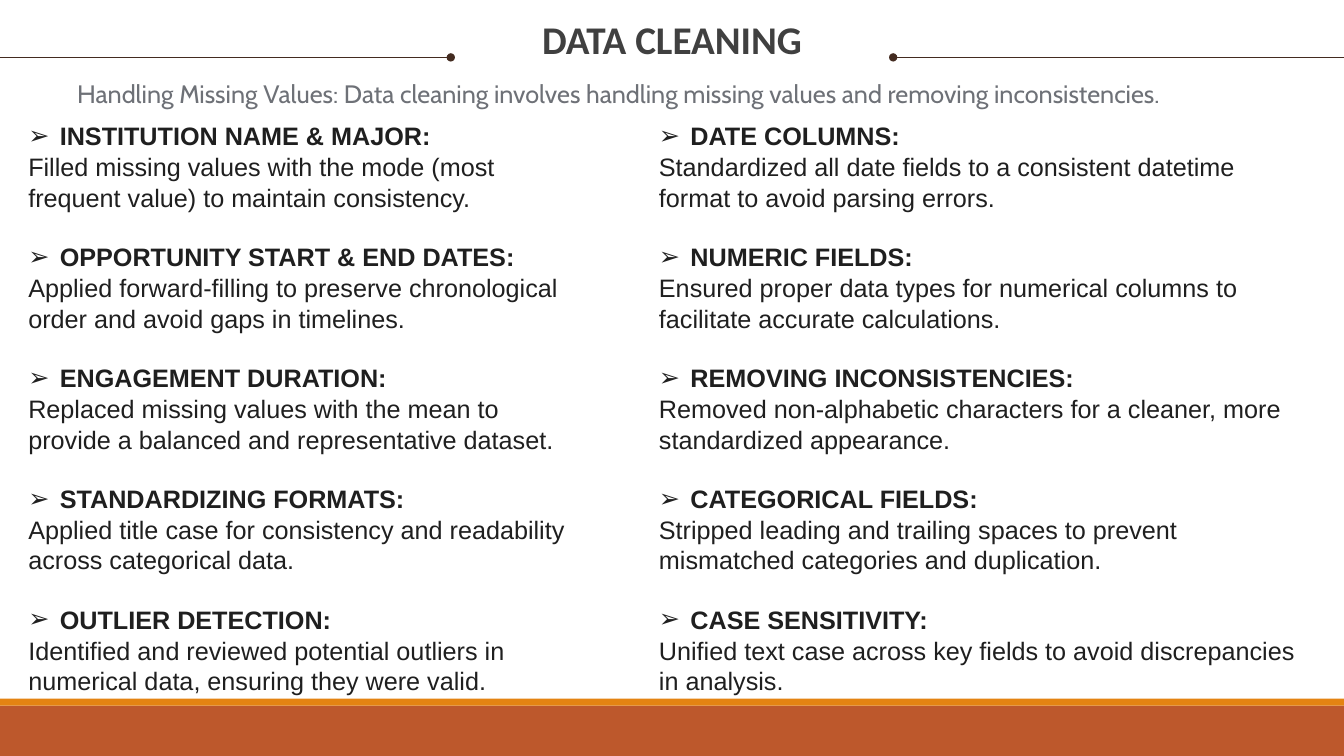
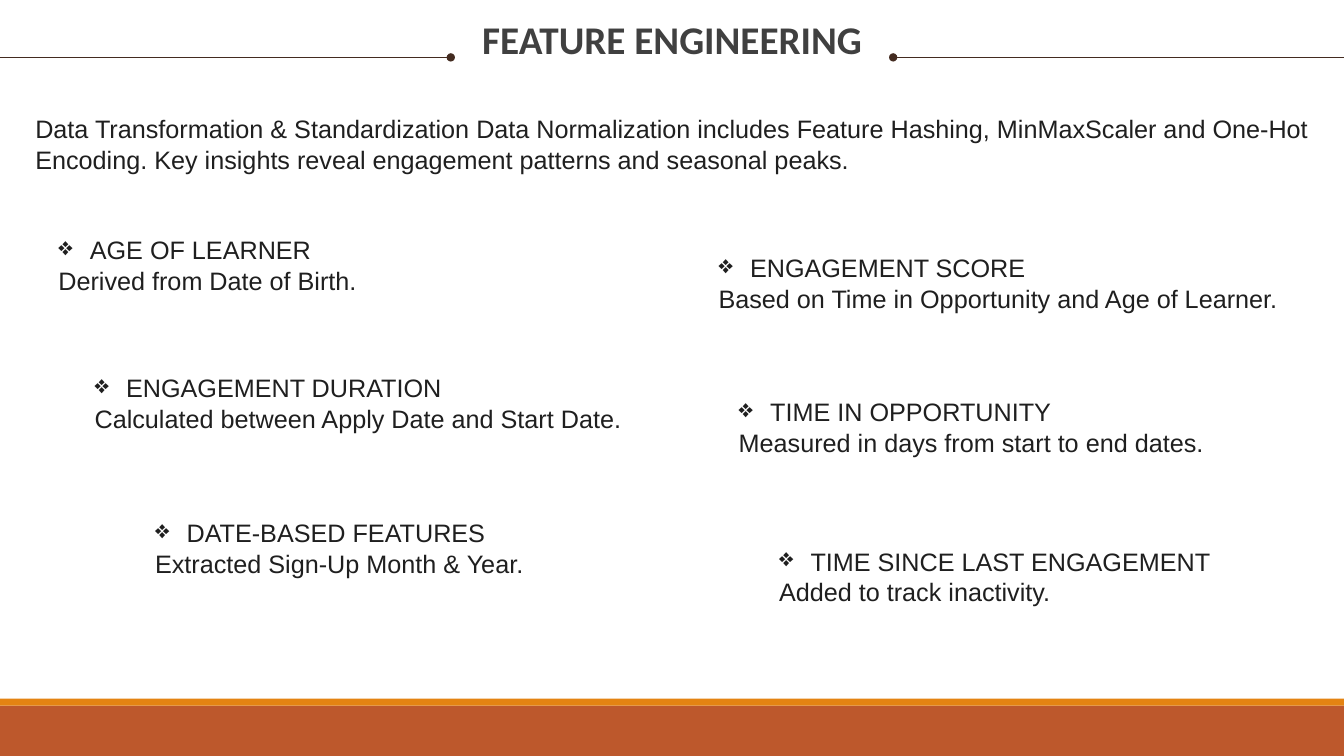
from dataclasses import dataclass

from pptx import Presentation
from pptx.dml.color import RGBColor
from pptx.enum.shapes import MSO_CONNECTOR as Connector, MSO_SHAPE as Shape
from pptx.enum.text import MSO_ANCHOR as Anchor, MSO_AUTO_SIZE as AutoSize, PP_ALIGN as Align
from pptx.oxml.ns import qn
from pptx.oxml.xmlchemy import OxmlElement
from pptx.util import Pt


@dataclass(frozen=True)
class Theme:
    band: str = "BD582C"
    stripe: str = "E48312"
    rule: str = "432B20"
    title: str = "404040"
    subtitle: str = "6E7177"
    text: str = "1F1F1F"
    title_font: str = "Calibri"
    subtitle_font: str = "Cabin"
    text_font: str = "Arial"
    title_size: float = 28
    text_size: float = 18
    line_height: float = 22
    bullet_indent: float = 22.5
    item_gap: float = 20.4


@dataclass(frozen=True)
class Box:
    left: float
    top: float
    width: float
    height: float

    def lengths(self):
        return [Pt(value) for value in (self.left, self.top, self.width, self.height)]


THEME = Theme()
PAGE = Box(0, 0, 960, 540)

CLEANING_LEFT = [
    ("INSTITUTION NAME & MAJOR:",
     "Filled missing values with the mode (most frequent value) to maintain consistency."),
    ("OPPORTUNITY START & END DATES:",
     "Applied forward-filling to preserve chronological order and avoid gaps in timelines."),
    ("ENGAGEMENT DURATION:",
     "Replaced missing values with the mean to provide a balanced and representative dataset."),
    ("STANDARDIZING FORMATS:",
     "Applied title case for consistency and readability across categorical data."),
    ("OUTLIER DETECTION:",
     "Identified and reviewed potential outliers in numerical data, ensuring they were valid."),
]
CLEANING_RIGHT = [
    ("DATE COLUMNS:",
     "Standardized all date fields to a consistent datetime format to avoid parsing errors."),
    ("NUMERIC FIELDS:",
     "Ensured proper data types for numerical columns to facilitate accurate calculations."),
    ("REMOVING INCONSISTENCIES:",
     "Removed non-alphabetic characters for a cleaner, more standardized appearance."),
    ("CATEGORICAL FIELDS:",
     "Stripped leading and trailing spaces to prevent mismatched categories and duplication."),
    ("CASE SENSITIVITY:",
     "Unified text case across key fields to avoid discrepancies in analysis."),
]
FEATURES = [
    (Box(34.6, 163.4, 400, 51), "AGE OF LEARNER", "Derived from Date of Birth."),
    (Box(60.5, 262, 508, 51), "ENGAGEMENT DURATION",
     "Calculated between Apply Date and Start Date."),
    (Box(103.7, 365.8, 508, 51), "DATE-BASED FEATURES", "Extracted Sign-Up Month & Year."),
    (Box(506.2, 176.4, 487, 51), "ENGAGEMENT SCORE",
     "Based on Time in Opportunity and Age of Learner."),
    (Box(520.6, 279.4, 487, 51), "TIME IN OPPORTUNITY",
     "Measured in days from start to end dates."),
    (Box(549.4, 386, 487, 51), "TIME SINCE LAST ENGAGEMENT", "Added to track inactivity."),
]


def write_text(frame, text, *, font=THEME.text_font, size=THEME.text_size, color=THEME.text,
               bold=False, align=Align.LEFT, spacing=Pt(THEME.line_height), before=0, bullet=None):
    para = frame.paragraphs[0]
    if para.runs:
        para = frame.add_paragraph()
    span = para.add_run()
    span.text = text
    span.font.name = font
    span.font.size = Pt(size)
    span.font.bold = bold
    span.font.color.rgb = RGBColor.from_string(color)
    para.alignment = align
    para.line_spacing = spacing
    para.space_before = Pt(before)
    indent = Pt(THEME.bullet_indent) if bullet else 0
    properties = para._p.get_or_add_pPr()
    properties.set("marL", str(indent))
    properties.set("indent", str(-indent))
    marker = OxmlElement("a:buChar" if bullet else "a:buNone")
    if bullet:
        marker.set("char", bullet)
    properties.append(marker)


def place(shape, box):
    shape.left, shape.top, shape.width, shape.height = box.lengths()
    frame = shape.text_frame
    frame.word_wrap = True
    frame.auto_size = AutoSize.SHAPE_TO_FIT_TEXT
    frame.vertical_anchor = Anchor.TOP
    return frame


def add_text_box(page, box):
    return place(page.shapes.add_textbox(*box.lengths()), box)


def add_master_bands(deck, page, box):
    bottom = box.top + box.height
    bands = [(Box(box.left, bottom - 36, box.width, 36), THEME.band),
             (Box(box.left, bottom - 41, box.width, 5), THEME.stripe)]
    tree = deck.slide_master.shapes.element
    for number, (band_box, color) in enumerate(bands):
        band = page.shapes.add_shape(Shape.RECTANGLE, *band_box.lengths())
        band.shadow.inherit = False
        band.fill.solid()
        band.fill.fore_color.rgb = RGBColor.from_string(color)
        band.line.fill.background()
        band.element.nvSpPr.cNvPr.set("id", str(100 + number))
        tree.insert(2 + number, band.element)


def add_rule(page, start, end, y, dot_tag):
    rule = page.shapes.add_connector(Connector.STRAIGHT, Pt(start), Pt(y), Pt(end), Pt(y))
    rule.line.color.rgb = RGBColor.from_string(THEME.rule)
    rule.line.width = Pt(1)
    dot = OxmlElement(dot_tag)
    dot.set("type", "oval")
    properties = rule.element.spPr
    properties.find(qn("a:ln")).append(dot)
    properties.append(OxmlElement("a:effectLst"))


def add_header(page, box, title):
    right = box.left + box.width
    rule_length, rule_top = 322, box.top + 41
    add_rule(page, box.left, box.left + rule_length, rule_top, "a:tailEnd")
    add_rule(page, right - rule_length, right, rule_top, "a:headEnd")
    frame = place(page.shapes.title, Box(box.left + 18, box.top + 15, box.width - 36, 30.2))
    frame.margin_left = frame.margin_right = frame.margin_top = frame.margin_bottom = 0
    write_text(frame, title, font=THEME.title_font, size=THEME.title_size, color=THEME.title,
               bold=True, align=Align.CENTER, spacing=0.9)


def write_items(frame, items, bullet, bold=False):
    for number, (heading, detail) in enumerate(items):
        write_text(frame, heading, bold=bold, bullet=bullet,
                   before=THEME.item_gap if number else 0)
        write_text(frame, detail)


def build_cleaning(page, box):
    add_header(page, box, "DATA CLEANING")
    subtitle = add_text_box(page, Box(box.left + 48, box.top + 52.6, 864, 29))
    write_text(subtitle, "Handling Missing Values: Data cleaning involves handling missing values "
               "and removing inconsistencies.", font=THEME.subtitle_font,
               color=THEME.subtitle, spacing=1.0)
    columns = [(1, 13, 403, CLEANING_LEFT), (2, 463.5, 481, CLEANING_RIGHT)]
    for index, left, width, items in columns:
        column = Box(box.left + left, box.top + 82, width, 422)
        write_items(place(page.placeholders[index], column), items, "➢", bold=True)


def build_features(page, box):
    add_header(page, box, "FEATURE ENGINEERING")
    intro = place(page.placeholders[1], Box(box.left + 18, box.top + 77, 957, 51))
    write_text(intro, "Data Transformation & Standardization Data Normalization includes Feature "
               "Hashing, MinMaxScaler and One-Hot Encoding. Key insights reveal engagement "
               "patterns and seasonal peaks.")
    for offset, heading, detail in FEATURES:
        feature = Box(box.left + offset.left, box.top + offset.top, offset.width, offset.height)
        write_items(add_text_box(page, feature), [(heading, detail)], "❖")


def main():
    deck = Presentation()
    deck.slide_width, deck.slide_height = Pt(PAGE.width), Pt(PAGE.height)
    two_columns, single_body = deck.slide_layouts[3], deck.slide_layouts[1]
    cleaning = deck.slides.add_slide(two_columns)
    add_master_bands(deck, cleaning, PAGE)
    build_cleaning(cleaning, PAGE)
    build_features(deck.slides.add_slide(single_body), PAGE)
    deck.save("out.pptx")


if __name__ == "__main__":
    main()
